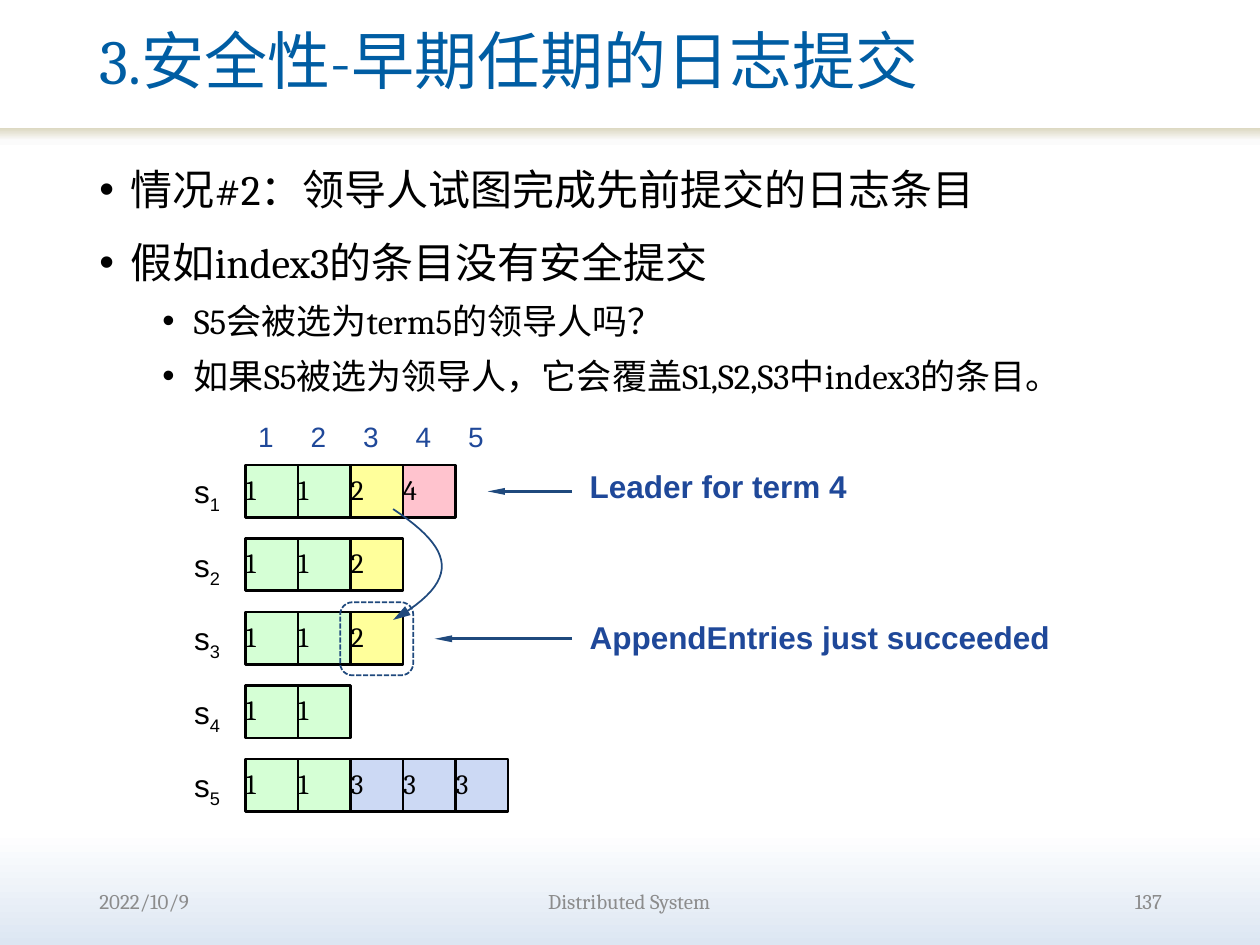
from lxml import etree
from pptx import Presentation
from pptx.dml.color import RGBColor
from pptx.enum.dml import MSO_LINE
from pptx.enum.shapes import MSO_CONNECTOR, MSO_SHAPE
from pptx.enum.text import MSO_ANCHOR, PP_ALIGN
from pptx.oxml.ns import qn
from pptx.util import Inches, Pt

RECT, ROUNDED = MSO_SHAPE.RECTANGLE, MSO_SHAPE.ROUNDED_RECTANGLE
STRAIGHT = MSO_CONNECTOR.STRAIGHT
DASH = MSO_LINE.SQUARE_DOT
TOP, MIDDLE = MSO_ANCHOR.TOP, MSO_ANCHOR.MIDDLE
LEFT, CENTER, RIGHT = PP_ALIGN.LEFT, PP_ALIGN.CENTER, PP_ALIGN.RIGHT

BLACK = RGBColor(0x00, 0x00, 0x00)
TITLE_BLUE = RGBColor(0x00, 0x5D, 0xA3)
LABEL_BLUE = RGBColor(0x1F, 0x48, 0x99)
ARROW_BLUE = RGBColor(0x1F, 0x49, 0x7D)
FOOTER_GRAY = RGBColor(0x8C, 0x8C, 0x8C)
TERM_FILLS = {
    1: RGBColor(0xD5, 0xFF, 0xD5),
    2: RGBColor(0xFF, 0xFF, 0x9B),
    3: RGBColor(0xCC, 0xD9, 0xF4),
    4: RGBColor(0xFF, 0xC3, 0xCE),
}
PAGE_STOPS = [(0, "FFFFFF"), (88, "FFFFFF"), (100, "DCE6F2")]
BAND_STOPS = [(0, "FFFFFF"), (45, "FBFBFB"), (100, "DDD9C3")]

SERIF, SANS = "Cambria", "Arial"
LOG_LEFT, LOG_TOP = Inches(1.95), Inches(3.69)
CELL = Inches(1.25 / 3)
ROW_STEP = Inches(1.75 / 3)
LOGS = [[1, 1, 2, 4], [1, 1, 2], [1, 1, 2], [1, 1], [1, 1, 3, 3, 3]]
BULLETS = [
    (0, "情况#2：领导人试图完成先前提交的日志条目"),
    (0, "假如index3的条目没有安全提交"),
    (1, "S5会被选为term5的领导人吗？"),
    (1, "如果S5被选为领导人，它会覆盖S1,S2,S3中index3的条目。"),
]


def set_gradient(fill, owner, stops, angle):
    fill.gradient()
    fill.gradient_angle = angle
    stop_list = next(owner.iter(qn("a:gsLst")))
    for stop in list(stop_list):
        stop_list.remove(stop)
    for position, color in stops:
        stop = etree.SubElement(stop_list, qn("a:gs"), pos=str(position * 1000))
        etree.SubElement(stop, qn("a:srgbClr"), val=color)


def add_run(paragraph, text, size, color, font, bold=False):
    run = paragraph.add_run()
    run.text = text
    run.font.size = Pt(size)
    run.font.name = font
    run.font.bold = bold
    run.font.color.rgb = color
    return run


def set_frame(frame, anchor, inset):
    frame.word_wrap = True
    frame.vertical_anchor = anchor
    if not inset:
        frame.margin_left = frame.margin_right = 0
        frame.margin_top = frame.margin_bottom = 0


def add_label(slide, box, text, size, color, font=SERIF, bold=False,
              align=LEFT, anchor=TOP, inset=True, spacing=None):
    frame = slide.shapes.add_textbox(*box).text_frame
    set_frame(frame, anchor, inset)
    paragraph = frame.paragraphs[0]
    paragraph.alignment = align
    paragraph.line_spacing = spacing
    add_run(paragraph, text, size, color, font, bold)
    return paragraph


def add_bullets(slide):
    frame = slide.shapes.add_textbox(
        Inches(0.69), Inches(1.21), Inches(8.62), Inches(5.55)).text_frame
    set_frame(frame, TOP, True)
    for number, (level, text) in enumerate(BULLETS):
        paragraph = frame.add_paragraph() if number else frame.paragraphs[0]
        paragraph.level = level
        paragraph.line_spacing = 1.1
        if number:
            paragraph.space_before = Pt(5 if level else 10)
        properties = paragraph._p.get_or_add_pPr()
        properties.set("marL", str(Inches(0.75 if level else 0.25)))
        properties.set("indent", str(Inches(-0.25)))
        etree.SubElement(properties, qn("a:buFont"), typeface=SANS)
        etree.SubElement(properties, qn("a:buChar"), char="•")
        add_run(paragraph, text, 20 if level else 24, BLACK, SERIF)


def add_entry(slide, left, top, term):
    entry = slide.shapes.add_shape(RECT, left, top, CELL, CELL)
    entry.shadow.inherit = False
    entry.fill.solid()
    entry.fill.fore_color.rgb = TERM_FILLS[term]
    entry.line.color.rgb = BLACK
    entry.line.width = Pt(1.5)
    set_frame(entry.text_frame, MIDDLE, False)
    paragraph = entry.text_frame.paragraphs[0]
    paragraph.alignment = LEFT
    paragraph.line_spacing = Pt(17)
    add_run(paragraph, str(term), 16, BLACK, SERIF)


def add_logs(slide):
    for column in range(5):
        box = LOG_LEFT + column * CELL, Inches(3.28), CELL, Inches(0.37)
        add_label(slide, box, str(column + 1), 16, LABEL_BLUE, SANS)
    for row, terms in enumerate(LOGS):
        top = LOG_TOP + row * ROW_STEP
        box = Inches(1.54), top + Inches(0.06), CELL, Inches(0.3)
        server = add_label(slide, box, "s", 18, BLACK, SANS, inset=False)
        subscript = add_run(server, str(row + 1), 18, BLACK, SANS)
        subscript._r.get_or_add_rPr().set("baseline", "-25000")
        for column, term in enumerate(terms):
            add_entry(slide, LOG_LEFT + column * CELL, top, term)


def style_arrow(line, weight, head_width):
    line.color.rgb = ARROW_BLUE
    line.width = Pt(weight)
    etree.SubElement(line._get_or_add_ln(), qn("a:tailEnd"),
                     type="triangle", w=head_width, len="lg")


def add_arrow(slide, start, end, y):
    arrow = slide.shapes.add_connector(
        STRAIGHT, Inches(start), Inches(y), Inches(end), Inches(y))
    style_arrow(arrow.line, 1.5, "sm")
    etree.SubElement(arrow._element.spPr, qn("a:effectLst"))


def bezier_point(controls, t):
    weights = (1 - t) ** 3, 3 * t * (1 - t) ** 2, 3 * t ** 2 * (1 - t), t ** 3
    return tuple(Inches(sum(w * value for w, value in zip(weights, axis)))
                 for axis in zip(*controls))


def add_replication_curve(slide):
    controls = [(3.12, 4.04), (3.6, 4.36), (3.67, 4.6), (3.12, 4.92)]
    points = [bezier_point(controls, step / 24) for step in range(25)]
    builder = slide.shapes.build_freeform(*points[0])
    builder.add_line_segments(points[1:], close=False)
    curve = builder.convert_to_shape()
    curve.shadow.inherit = False
    curve.fill.background()
    style_arrow(curve.line, 1, "med")


def add_highlight(slide):
    highlight = slide.shapes.add_shape(
        ROUNDED, Inches(2.7), Inches(4.78), Inches(0.58), Inches(0.58))
    highlight.shadow.inherit = False
    highlight.fill.background()
    highlight.line.color.rgb = ARROW_BLUE
    highlight.line.width = Pt(1)
    highlight.line.dash_style = DASH


def add_callout(slide, text, top, width, arrow_end, arrow_y):
    box = Inches(4.68), Inches(top), Inches(width), Inches(0.27)
    add_label(slide, box, text, 18, LABEL_BLUE, SANS, bold=True,
              inset=False, spacing=Pt(19))
    add_arrow(slide, 4.54, arrow_end, arrow_y)


def add_header(slide):
    band = slide.shapes.add_shape(RECT, 0, Inches(1.02), Inches(10), Inches(0.17))
    band.shadow.inherit = False
    band.line.fill.background()
    set_gradient(band.fill, band._element, BAND_STOPS, 90)
    box = Inches(0.69), 0, Inches(8.3), Inches(1.02)
    add_label(slide, box, "3.安全性-早期任期的日志提交", 36, TITLE_BLUE,
              anchor=MIDDLE, spacing=0.9)


def add_footer(slide):
    for left, width, text, align in [
        (0.69, 2.08, "2022/10/9", LEFT),
        (2.76, 4.47, "Distributed System", CENTER),
        (7.24, 2.08, "137", RIGHT),
    ]:
        box = Inches(left), Inches(6.95), Inches(width), Inches(0.4)
        add_label(slide, box, text, 12, FOOTER_GRAY, align=align, anchor=MIDDLE)


def main():
    deck = Presentation()
    deck.slide_width, deck.slide_height = Inches(10), Inches(7.5)
    slide = deck.slides.add_slide(deck.slide_layouts[6])
    set_gradient(slide.background.fill, slide._element, PAGE_STOPS, 270)
    add_header(slide)
    add_bullets(slide)
    add_logs(slide)
    add_highlight(slide)
    add_callout(slide, "AppendEntries just succeeded", 4.94, 4.23, 3.45, 5.07)
    add_replication_curve(slide)
    add_callout(slide, "Leader for term 4", 3.74, 2.17, 3.87, 3.9)
    add_footer(slide)
    deck.save("out.pptx")


if __name__ == "__main__":
    main()
